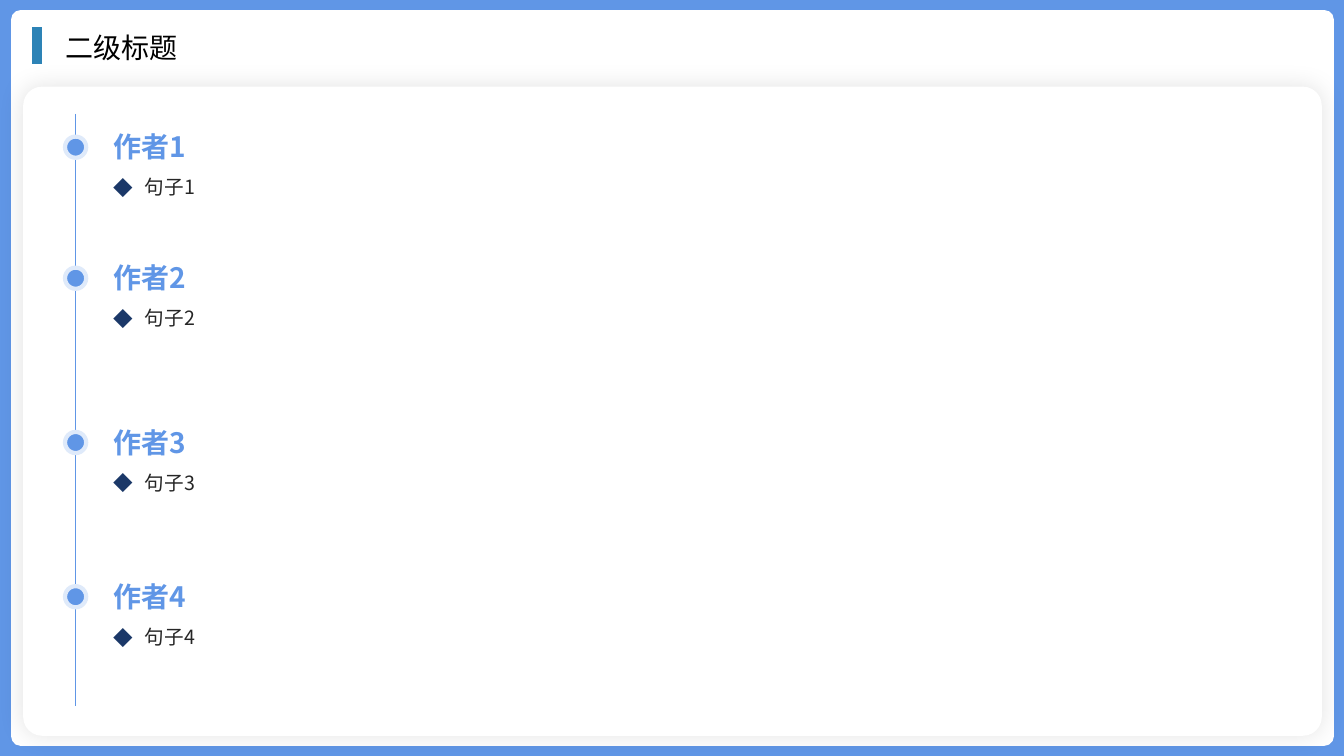
from lxml.etree import SubElement
from pptx import Presentation
from pptx.dml.color import RGBColor
from pptx.enum.shapes import MSO_CONNECTOR, MSO_SHAPE
from pptx.enum.text import MSO_AUTO_SIZE
from pptx.oxml.ns import qn
from pptx.util import Inches, Pt

TITLE = "二级标题"
ENTRIES = [
    ("作者1", "句子1", 1.24),
    ("作者2", "句子2", 2.54),
    ("作者3", "句子3", 4.17),
    ("作者4", "句子4", 5.7),
]
COLORS = {
    "blue": "6096E6",
    "halo": "DFEAFA",
    "accent": "2D83B6",
    "bullet": "1B3868",
    "body": "262626",
    "black": "000000",
    "white": "FFFFFF",
}
CJK_FONT = "Noto Sans CJK SC"
WIDTH, HEIGHT = 13.33, 7.5
AXIS_X, TEXT_X = 0.75, 1.03
DOT = 0.21
HEADING_HEIGHT = 0.44
SENTENCE_DROP = 0.38

deck = Presentation()
deck.slide_width, deck.slide_height = Inches(WIDTH), Inches(HEIGHT)
slide = deck.slides.add_slide(deck.slide_layouts[6])


def rgb(name):
    return RGBColor.from_string(COLORS[name])


def add_form(preset, left, top, width, height, fill, corner=None):
    form = slide.shapes.add_shape(
        preset, Inches(left), Inches(top), Inches(width), Inches(height))
    form.shadow.inherit = False
    form.fill.solid()
    form.fill.fore_color.rgb = rgb(fill)
    form.line.fill.background()
    if corner is not None:
        form.adjustments[0] = corner
    return form


def add_vertical(x, top, bottom, color, weight):
    rule = slide.shapes.add_connector(
        MSO_CONNECTOR.STRAIGHT, Inches(x), Inches(top), Inches(x), Inches(bottom))
    rule.line.color.rgb = rgb(color)
    rule.line.width = Pt(weight)
    SubElement(rule._element.spPr, qn("a:effectLst"))


def add_glow(form, color, opacity, blur):
    effects = form._element.spPr.find(qn("a:effectLst"))
    shadow = SubElement(effects, qn("a:outerShdw"), blurRad=str(Pt(blur)),
                        dist="0", dir="0", algn="ctr", rotWithShape="0")
    tint = SubElement(shadow, qn("a:srgbClr"), val=COLORS[color])
    SubElement(tint, qn("a:alpha"), val=str(opacity * 1000))


def add_bullet(paragraph):
    paragraph.line_spacing = 1.3
    paragraph.space_before = paragraph.space_after = Pt(6)
    properties = paragraph._p.get_or_add_pPr()
    indent = Inches(0.31)
    properties.set("marL", str(indent))
    properties.set("indent", str(-indent))
    tint = SubElement(properties, qn("a:buClr"))
    SubElement(tint, qn("a:srgbClr"), val=COLORS["bullet"])
    SubElement(properties, qn("a:buFont"), typeface=CJK_FONT)
    SubElement(properties, qn("a:buChar"), char="◆")


def add_text(text, left, top, width, height, size, color,
             typeface=CJK_FONT, bold=False, bullet=False):
    box = slide.shapes.add_textbox(
        Inches(left), Inches(top), Inches(width), Inches(height))
    frame = box.text_frame
    frame.word_wrap = True
    frame.auto_size = MSO_AUTO_SIZE.SHAPE_TO_FIT_TEXT
    paragraph = frame.paragraphs[0]
    paragraph.text = text
    if bullet:
        add_bullet(paragraph)
    font = paragraph.font
    font.size, font.bold, font.name = Pt(size), bold, typeface
    font.color.rgb = rgb(color)
    SubElement(paragraph._p.pPr.find(qn("a:defRPr")), qn("a:ea"), typeface=CJK_FONT)


add_form(MSO_SHAPE.RECTANGLE, 0, 0, WIDTH, HEIGHT, "blue")
add_form(MSO_SHAPE.ROUNDED_RECTANGLE, 0.11, 0.1, 13.12, 7.3, "white", 0.013)
panel = add_form(MSO_SHAPE.ROUNDED_RECTANGLE, 0.23, 0.86, 12.88, 6.44, "white", 0.029)
add_glow(panel, "black", 11, 18)

add_vertical(0.37, 0.27, 0.64, "accent", 7.25)
add_text(TITLE, 0.55, 0.25, 12.42, HEADING_HEIGHT, 20, "black", "Karla")

add_vertical(AXIS_X, 1.13, 7, "blue", 0.5)
for author, sentence, top in ENTRIES:
    dot = add_form(MSO_SHAPE.OVAL, AXIS_X - DOT / 2,
                   top + (HEADING_HEIGHT - DOT) / 2, DOT, DOT, "blue")
    dot.line.color.rgb = rgb("halo")
    dot.line.width = Pt(3)
    add_text(author, TEXT_X, top, 2.3, HEADING_HEIGHT, 20, "blue", bold=True)
    add_text(sentence, TEXT_X, top + SENTENCE_DROP, 11.46, 0.41, 14, "body", bullet=True)

deck.save("out.pptx")
